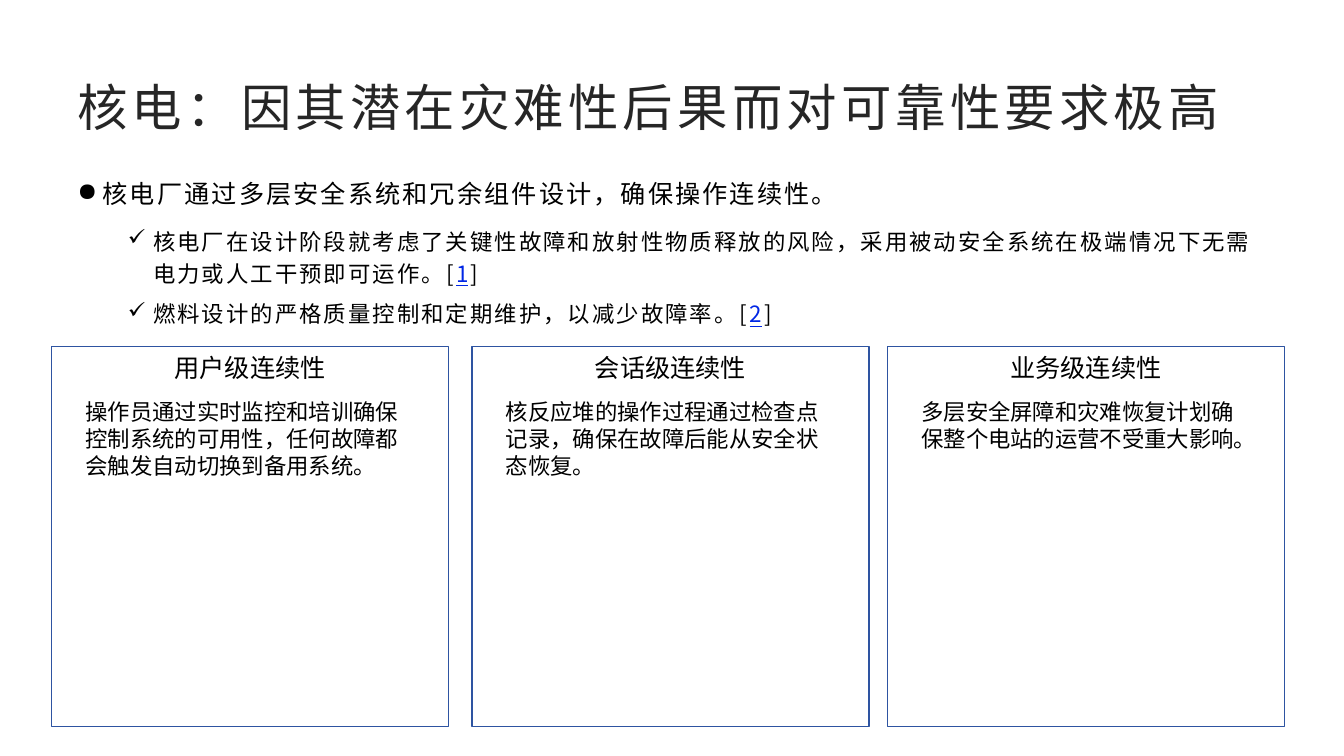
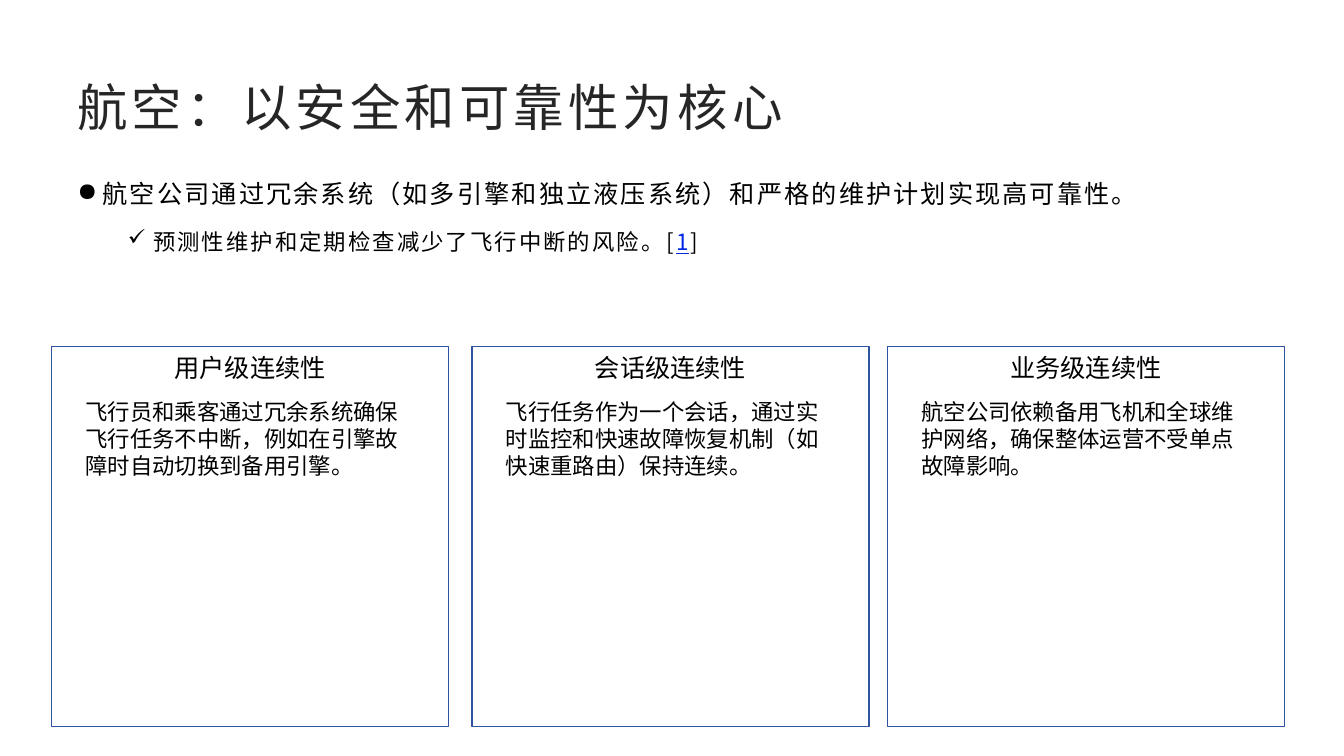
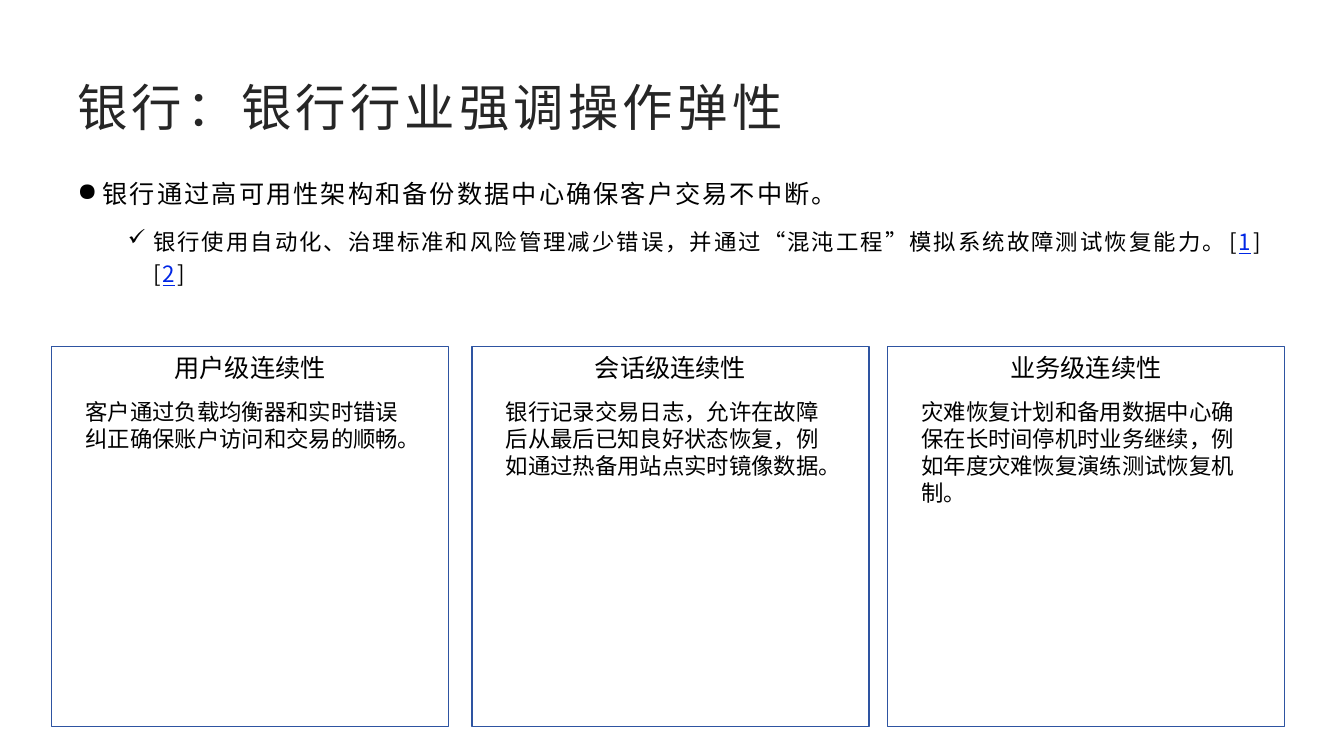
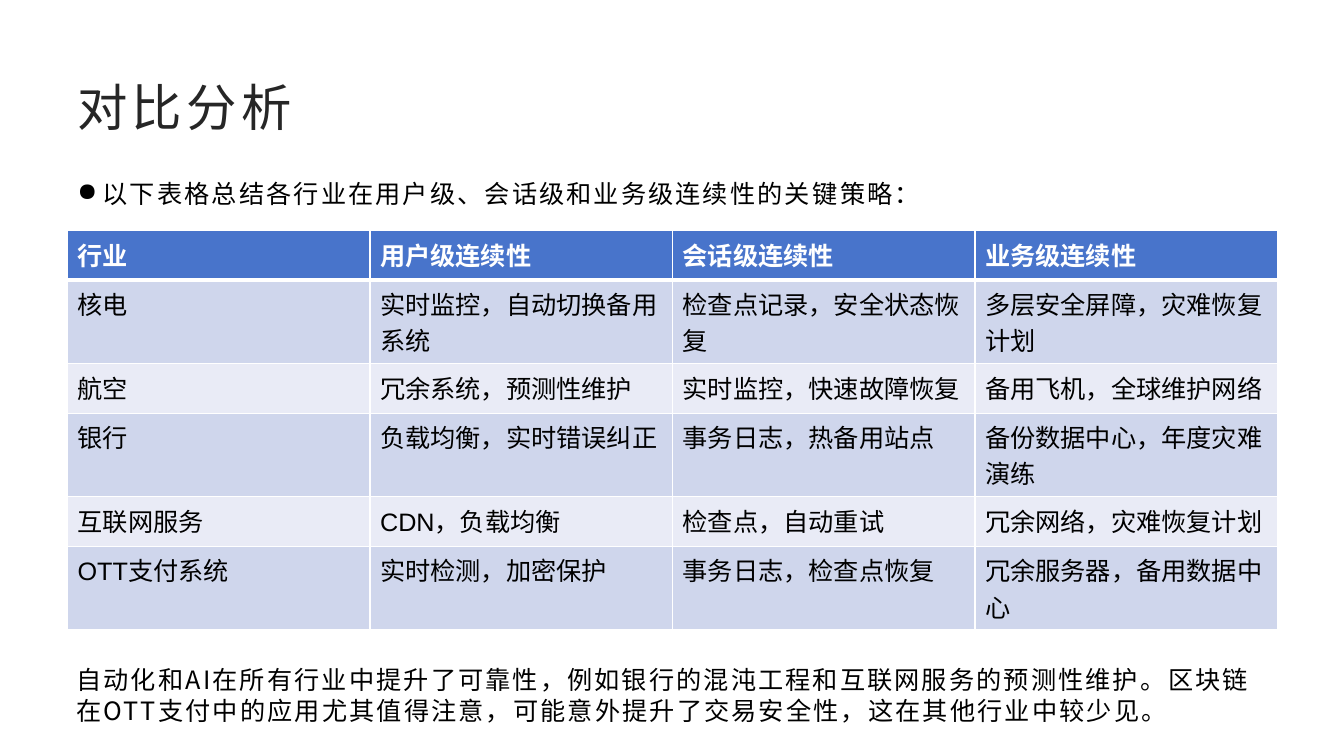
from dataclasses import dataclass
from itertools import groupby

from lxml.etree import SubElement
from pptx import Presentation
from pptx.dml.color import RGBColor
from pptx.enum.shapes import MSO_SHAPE
from pptx.enum.text import MSO_ANCHOR, PP_ALIGN
from pptx.oxml.ns import qn
from pptx.util import Inches, Pt


@dataclass(frozen=True)
class Theme:
    sans: str = "Arial"
    cjk: str = "Noto Sans CJK SC"
    ink: str = "000000"
    title: str = "262626"
    link: str = "0026E5"
    white: str = "FFFFFF"
    edge: str = "2E54A1"
    head: str = "4874CB"
    bands: tuple = ("CFD6EC", "E9EBF6")
    huge: int = 36
    large: int = 18
    small: int = 16


T = Theme()

# Paragraph styles: font, size, colour, tracking, bullet, indent and paragraph format
STYLES = {
    "title": dict(font=T.sans, size=T.huge, color=T.title, track=3),
    "point": dict(font=T.cjk, size=T.large, track=1.5, mark="●", left=0.25,
                  form=dict(line_spacing=Pt(28), space_after=Pt(10))),
    "check": dict(font=T.cjk, size=T.small, track=1.5, mark="✓", left=0.75,
                  form=dict(line_spacing=Pt(23), space_after=Pt(6))),
    "label": dict(font=T.cjk, size=T.large,
                  form=dict(line_spacing=Pt(22), alignment=PP_ALIGN.CENTER)),
    "card": dict(font=T.sans, size=T.small, form=dict(line_spacing=Pt(19.3))),
    "note": dict(font=T.cjk, size=T.large, track=1.5,
                 form=dict(line_spacing=Pt(22))),
    "head": dict(font=T.sans, size=T.large, color=T.white, bold=True),
    "cell": dict(font=T.sans, size=T.large),
}

LEVELS = ["用户级连续性", "会话级连续性", "业务级连续性"]
LEFTS = [0.51, 4.68, 8.8]

CASES = [
    ("核电：因其潜在灾难性后果而对可靠性要求极高",
     "核电厂通过多层安全系统和冗余组件设计，确保操作连续性。",
     ["核电厂在设计阶段就考虑了关键性故障和放射性物质释放的风险，采用被动安全系统在极端情况下无需电力或人工干预即可运作。[1]",
      "燃料设计的严格质量控制和定期维护，以减少故障率。[2]"],
     ["操作员通过实时监控和培训确保控制系统的可用性，任何故障都会触发自动切换到备用系统。",
      "核反应堆的操作过程通过检查点记录，确保在故障后能从安全状态恢复。",
      "多层安全屏障和灾难恢复计划确保整个电站的运营不受重大影响。"]),
    ("航空：以安全和可靠性为核心",
     "航空公司通过冗余系统（如多引擎和独立液压系统）和严格的维护计划实现高可靠性。",
     ["预测性维护和定期检查减少了飞行中断的风险。[1]"],
     ["飞行员和乘客通过冗余系统确保飞行任务不中断，例如在引擎故障时自动切换到备用引擎。",
      "飞行任务作为一个会话，通过实时监控和快速故障恢复机制（如快速重路由）保持连续。",
      "航空公司依赖备用飞机和全球维护网络，确保整体运营不受单点故障影响。"]),
    ("银行：银行行业强调操作弹性",
     "银行通过高可用性架构和备份数据中心确保客户交易不中断。",
     ["银行使用自动化、治理标准和风险管理减少错误，并通过“混沌工程”模拟系统故障测试恢复能力。[1][2]"],
     ["客户通过负载均衡器和实时错误纠正确保账户访问和交易的顺畅。",
      "银行记录交易日志，允许在故障后从最后已知良好状态恢复，例如通过热备用站点实时镜像数据。",
      "灾难恢复计划和备用数据中心确保在长时间停机时业务继续，例如年度灾难恢复演练测试恢复机制。"]),
]

ROWS = [
    ["行业", *LEVELS],
    ["核电", "实时监控，自动切换备用系统", "检查点记录，安全状态恢复", "多层安全屏障，灾难恢复计划"],
    ["航空", "冗余系统，预测性维护", "实时监控，快速故障恢复", "备用飞机，全球维护网络"],
    ["银行", "负载均衡，实时错误纠正", "事务日志，热备用站点", "备份数据中心，年度灾难演练"],
    ["互联网服务", "CDN，负载均衡", "检查点，自动重试", "冗余网络，灾难恢复计划"],
    ["OTT支付系统", "实时检测，加密保护", "事务日志，检查点恢复", "冗余服务器，备用数据中心"],
]


def box(left, top, width, height):
    return [Inches(n) for n in (left, top, width, height)]


def paint(fill, color):
    fill.solid()
    fill.fore_color.rgb = RGBColor.from_string(color)


def add_run(para, text, style, cite):
    run = para.add_run()
    run.text = text
    form = dict(name=style["font"], size=Pt(style["size"]),
                bold=style.get("bold", False), underline=cite)
    for key, value in form.items():
        setattr(run.font, key, value)
    paint(run.font.fill, T.link if cite else style.get("color", T.ink))
    props = run.font._element
    SubElement(props, qn("a:ea"), typeface=T.cjk)
    if "track" in style:
        props.set("spc", str(int(style["track"] * 100)))


def write(frame, *items):
    """Fill a text frame with (style name, text) pairs; digits are citations."""
    frame.word_wrap = True
    for i, (name, text) in enumerate(items):
        para = frame.add_paragraph() if i else frame.paragraphs[0]
        style = STYLES[name]
        for key, value in style.get("form", {}).items():
            setattr(para, key, value)
        props = para._p.get_or_add_pPr()
        props.set("hangingPunct", "1")
        if "mark" in style:
            props.set("marL", str(Inches(style["left"])))
            props.set("indent", str(-Inches(0.25)))
            SubElement(props, qn("a:buChar"), char=style["mark"])
        for cite, part in groupby(text, str.isdigit):
            add_run(para, "".join(part), style, cite)


def add_text(slide, place, *items, anchor=MSO_ANCHOR.TOP):
    frame = slide.shapes.add_textbox(*box(*place)).text_frame
    frame.vertical_anchor = anchor
    write(frame, *items)


def add_page(deck, title):
    slide = deck.slides.add_slide(deck.slide_layouts[6])
    add_text(slide, (0.67, 0.67, 12, 0.77), ("title", title),
             anchor=MSO_ANCHOR.MIDDLE)
    return slide


def add_card(slide, left, label, text):
    card = slide.shapes.add_shape(MSO_SHAPE.RECTANGLE,
                                  *box(left, 3.44, 3.94, 3.77))
    card.shadow.inherit = False
    paint(card.fill, T.white)
    paint(card.line.fill, T.edge)
    card.line.width = Pt(1)
    card.text_frame.vertical_anchor = MSO_ANCHOR.TOP
    write(card.text_frame, ("label", label))
    add_text(slide, (left + 0.24, 3.9, 3.47, 0.91), ("card", text))


def add_edges(cell, base):
    props = cell._tc.get_or_add_tcPr()
    for side, width in dict(L=1, R=1, T=1, B=base).items():
        line = SubElement(props, qn(f"a:ln{side}"), w=str(Pt(width)))
        fill = SubElement(line, qn("a:solidFill"))
        SubElement(fill, qn("a:srgbClr"), val=T.white)


def add_grid(slide, rows):
    grid = slide.shapes.add_table(len(rows), len(rows[0]),
                                  *box(0.67, 2.29, 12, 3.96)).table
    grid.horz_banding = False
    for r, texts in enumerate(rows):
        grid.rows[r].height = Inches(0.83 if r % 2 else 0.49)
        for c, text in enumerate(texts):
            cell = grid.cell(r, c)
            add_edges(cell, 1 if r else 3)
            paint(cell.fill, T.bands[(r - 1) % 2] if r else T.head)
            write(cell.text_frame, ("cell" if r else "head", text))


def add_case(deck, title, point, checks, cards):
    slide = add_page(deck, title)
    add_text(slide, (0.67, 1.63, 12, 1.72), ("point", point),
             *(("check", text) for text in checks))
    for left, label, text in zip(LEFTS, LEVELS, cards):
        add_card(slide, left, label, text)


def add_summary(deck):
    slide = add_page(deck, "对比分析")
    add_grid(slide, ROWS)
    add_text(slide, (0.67, 1.63, 12, 0.66),
             ("point", "以下表格总结各行业在用户级、会话级和业务级连续性的关键策略："))
    add_text(slide, (0.66, 6.54, 12, 0.71),
             ("note", "自动化和AI在所有行业中提升了可靠性，例如银行的混沌工程和互联网服务的预测性维护。"
                      "区块链在OTT支付中的应用尤其值得注意，可能意外提升了交易安全性，这在其他行业中较少见。"))


def main():
    deck = Presentation()
    deck.slide_width, deck.slide_height = Inches(13.33), Inches(7.5)
    for case in CASES:
        add_case(deck, *case)
    add_summary(deck)
    deck.save("out.pptx")


if __name__ == "__main__":
    main()
